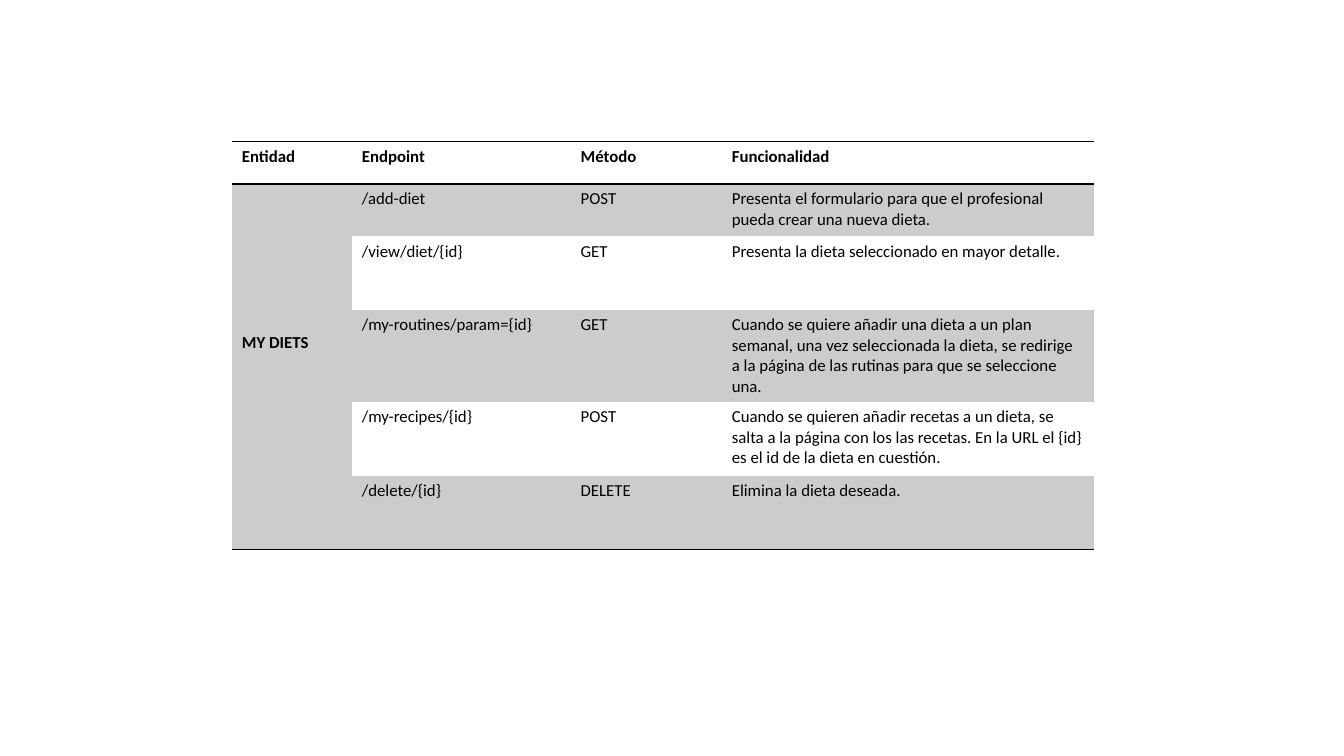
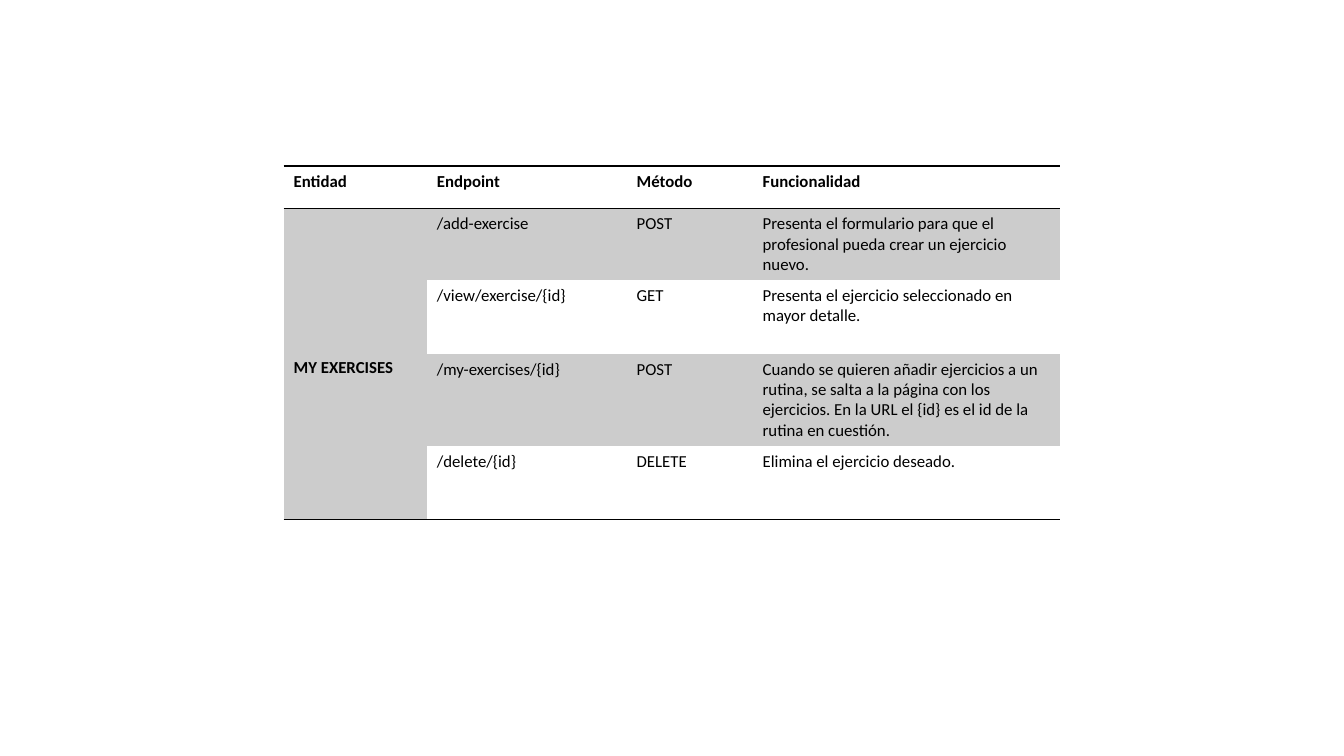
from lxml.etree import SubElement
from pptx import Presentation
from pptx.dml.color import RGBColor
from pptx.oxml.ns import qn
from pptx.util import Pt

# Content
HEADERS = ["Entidad", "Endpoint", "Método", "Funcionalidad"]
TABLES = [
    {
        "entity": "MY DIETS",
        "left": 165.6, "top": 100.8,
        "columns": [85.7, 156.3, 108, 266],
        "heights": [30.6, 37.4, 52.6, 52.6, 52.6, 52.6],
        "endpoints": [
            ("/add-diet", "POST",
             "Presenta el formulario para que el profesional pueda crear una nueva dieta."),
            ("/view/diet/{id}", "GET",
             "Presenta la dieta seleccionado en mayor detalle."),
            ("/my-routines/param={id}", "GET",
             "Cuando se quiere añadir una dieta a un plan semanal, una vez seleccionada "
             "la dieta, se redirige a la página de las rutinas para que se seleccione una."),
            ("/my-recipes/{id}", "POST",
             "Cuando se quieren añadir recetas a un dieta, se salta a la página con los "
             "las recetas. En la URL el {id} es el id de la dieta en cuestión."),
            ("/delete/{id}", "DELETE", "Elimina la dieta deseada."),
        ],
    },
    {
        "entity": "MY EXERCISES",
        "left": 202.6, "top": 118.6,
        "columns": [102.3, 142.7, 90, 219.6],
        "heights": [30.6, 37.4, 52.6, 52.6, 52.6],
        "endpoints": [
            ("/add-exercise", "POST",
             "Presenta el formulario para que el profesional pueda crear un ejercicio nuevo."),
            ("/view/exercise/{id}", "GET",
             "Presenta el ejercicio seleccionado en mayor detalle."),
            ("/my-exercises/{id}", "POST",
             "Cuando se quieren añadir ejercicios a un rutina, se salta a la página con los "
             "ejercicios. En la URL el {id} es el id de la rutina en cuestión."),
            ("/delete/{id}", "DELETE", "Elimina el ejercicio deseado."),
        ],
    },
]

# Shared style
COLORS = {"text": "000000", "rule": "000000", "band": "CCCCCC"}
FONT, SIZE = "Calibri", Pt(12)
ENTITY_MARGIN = Pt(106)
NO_STYLE = "{2D5ABB26-0587-4C30-8999-92F81FD0307C}"


def add_rule(cell, side):
    ln = SubElement(cell._tc.get_or_add_tcPr(), qn(f"a:ln{side}"), w=str(Pt(1)))
    fill = SubElement(ln, qn("a:solidFill"))
    SubElement(fill, qn("a:srgbClr"), val=COLORS["rule"])


def style_cell(cell, text, bold, banded, sides):
    for side in sides:
        add_rule(cell, side)
    if banded:
        cell.fill.solid()
        cell.fill.fore_color.rgb = RGBColor.from_string(COLORS["band"])
    else:
        cell.fill.background()
    p = cell.text_frame.paragraphs[0]
    p.text = text
    p.font.name, p.font.size, p.font.bold = FONT, SIZE, bold
    p.font.color.rgb = RGBColor.from_string(COLORS["text"])


def add_endpoint_table(slide, data):
    columns, heights = data["columns"], data["heights"]
    last = len(heights) - 1
    frame = slide.shapes.add_table(
        len(heights), len(columns), Pt(data["left"]), Pt(data["top"]),
        Pt(sum(columns)), Pt(sum(heights)))
    table = frame.table
    table._tbl.tblPr.find(qn("a:tableStyleId")).text = NO_STYLE
    table.first_row = table.horz_banding = False
    for column, width in zip(table.columns, columns):
        column.width = Pt(width)
    for row, height in zip(table.rows, heights):
        row.height = Pt(height)

    # Header row
    for c, header in enumerate(HEADERS):
        style_cell(table.cell(0, c), header, True, False, "TB")

    # Entity column, one cell across all endpoints
    entity = table.cell(1, 0)
    entity.merge(table.cell(last, 0))
    style_cell(entity, data["entity"], True, True, "B")
    entity.margin_top = ENTITY_MARGIN
    add_rule(table.cell(last, 0), "B")

    # Banded endpoint rows
    for r, endpoint in enumerate(data["endpoints"], 1):
        for c, text in enumerate(endpoint, 1):
            style_cell(table.cell(r, c), text, False, r % 2 == 1,
                       "B" if r == last else "")


def main():
    prs = Presentation()
    prs.slide_width, prs.slide_height = Pt(960), Pt(540)
    for data in TABLES:
        add_endpoint_table(prs.slides.add_slide(prs.slide_layouts[6]), data)
    prs.save("out.pptx")


if __name__ == "__main__":
    main()
